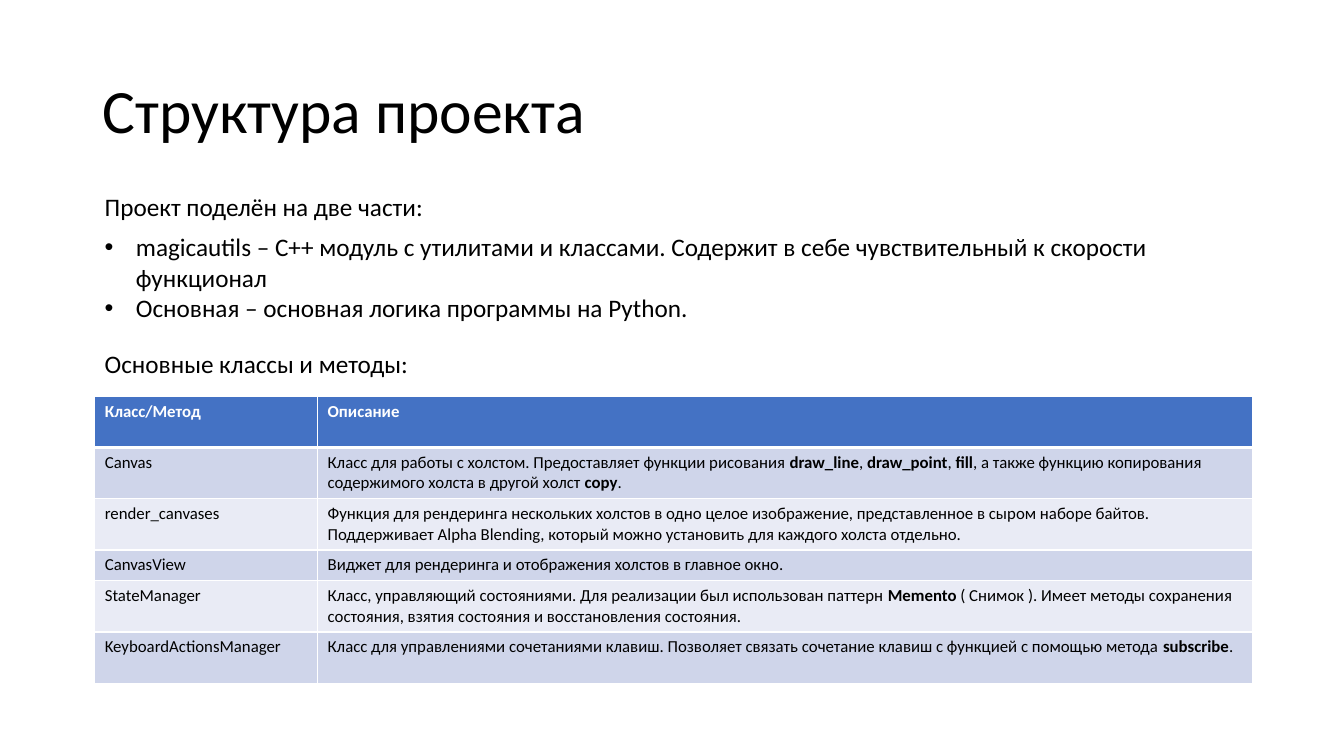
import dataclasses
import pptx
import pptx.dml.color
import pptx.enum.text
import pptx.oxml
import pptx.oxml.ns
import pptx.util


@dataclasses.dataclass(frozen=True)
class Theme:
    font: str = "Calibri"
    text: str = "000000"
    inverse: str = "FFFFFF"
    header: str = "4472C4"
    bands: tuple = ("CFD5EA", "E9EBF5")
    title_size: int = 44
    body_size: int = 18
    table_size: int = 12
    border: int = 1
    header_border: int = 3
    bullet_indent: float = 0.31


@dataclasses.dataclass(frozen=True)
class Box:
    left: int
    top: int
    width: int
    height: int

    def region(self, left, top, width, height):
        return Box(
            round(self.left + self.width * left / 100),
            round(self.top + self.height * top / 100),
            round(self.width * width / 100),
            round(self.height * height / 100),
        )

    def bounds(self):
        return self.left, self.top, self.width, self.height


THEME = Theme()
INTRO = "Проект поделён на две части:"
PROJECT_HALVES = [
    "magicautils – C++ модуль с утилитами и классами. "
    "Содержит в себе чувствительный к скорости функционал",
    "Основная – основная логика программы на Python.",
]
CAPTION = "Основные классы и методы:"
HEADINGS = ("Класс/Метод", "Описание")
CLASSES = [
    ("Canvas",
     "Класс для работы с холстом. Предоставляет функции рисования\u00a0*draw_line*,\u00a0"
     "*draw_point*,\u00a0*fill*, а также функцию копирования содержимого холста "
     "в другой холст\u00a0*copy*."),
    ("render_canvases",
     "Функция для рендеринга нескольких холстов в одно целое изображение, "
     "представленное в сыром наборе байтов. Поддерживает Alpha Blending, "
     "который можно установить для каждого холста отдельно."),
    ("CanvasView", "Виджет для рендеринга и отображения холстов в главное окно."),
    ("StateManager",
     "Класс, управляющий состояниями. Для реализации был использован "
     "паттерн\u00a0*Memento*\u00a0( Снимок ). Имеет методы сохранения состояния, "
     "взятия состояния и восстановления состояния."),
    ("KeyboardActionsManager",
     "Класс для управлениями сочетаниями клавиш. Позволяет связать сочетание "
     "клавиш с функцией с помощью метода\u00a0*subscribe*."),
]
COLUMN_SHARES = (19.25, 80.75)
ROW_UNITS = (5, 5, 5, 3, 5, 5)


def color(value):
    return pptx.dml.color.RGBColor.from_string(value)


def write(para, text, size=THEME.body_size, ink=THEME.text, bold=False, bullet=False):
    for index, piece in enumerate(text.split("*")):
        if piece:
            span = para.add_run()
            span.text = piece
            span.font.name = THEME.font
            span.font.size = pptx.util.Pt(size)
            span.font.bold = bold or index % 2 == 1
            span.font.color.rgb = color(ink)
    if bullet:
        indent = pptx.util.Inches(THEME.bullet_indent)
        settings = para._p.get_or_add_pPr()
        settings.set("marL", str(indent))
        settings.set("indent", str(-indent))
        settings.append(pptx.oxml.parse_xml(
            f'<a:buFont {pptx.oxml.ns.nsdecls("a")} typeface="Arial"/>'))
        settings.append(pptx.oxml.parse_xml(
            f'<a:buChar {pptx.oxml.ns.nsdecls("a")} char="•"/>'))


def add_text(page, box, lines, wrap=True, **style):
    frame = page.shapes.add_textbox(*box.bounds()).text_frame
    frame.word_wrap = wrap
    for index, line in enumerate(lines):
        para = frame.add_paragraph() if index else frame.paragraphs[0]
        write(para, line, **style)
    return frame


def add_title(page, box):
    frame = add_text(page, box, ["Структура проекта"], size=THEME.title_size)
    frame.vertical_anchor = pptx.enum.text.MSO_ANCHOR.MIDDLE
    frame.paragraphs[0].line_spacing = 0.9


def add_borders(cell, bottom):
    widths = {"lnL": THEME.border, "lnR": THEME.border, "lnT": THEME.border, "lnB": bottom}
    for index, (edge, width) in enumerate(widths.items()):
        line = pptx.oxml.parse_xml(
            f'<a:{edge} {pptx.oxml.ns.nsdecls("a")} w="{pptx.util.Pt(width)}">'
            f'<a:solidFill><a:srgbClr val="{THEME.inverse}"/></a:solidFill></a:{edge}>')
        cell._tc.get_or_add_tcPr().insert(index, line)


def add_class_table(page, box):
    records = [HEADINGS, *CLASSES]
    table = page.shapes.add_table(len(records), len(HEADINGS), *box.bounds()).table
    for column, share in zip(table.columns, COLUMN_SHARES):
        column.width = round(box.width * share / 100)
    for row, units in zip(table.rows, ROW_UNITS):
        row.height = round(box.height * units / sum(ROW_UNITS))
    for index, record in enumerate(records):
        heading = index == 0
        fill = THEME.header if heading else THEME.bands[(index - 1) % 2]
        for position, text in enumerate(record):
            cell = table.cell(index, position)
            cell.fill.solid()
            cell.fill.fore_color.rgb = color(fill)
            add_borders(cell, THEME.header_border if heading else THEME.border)
            write(cell.text_frame.paragraphs[0], text, size=THEME.table_size,
                  ink=THEME.inverse if heading else THEME.text, bold=heading)


def add_body(page, box):
    add_text(page, box.region(0, 0, 100, 8.11), [INTRO])
    add_text(page, box.region(0, 8.11, 100, 21.3), PROJECT_HALVES, bullet=True)
    add_class_table(page, box.region(0, 42.19, 100, 57.81))
    add_text(page, box.region(0, 31.64, 28.31, 8.11), [CAPTION], wrap=False)


def build_structure_page(deck):
    page = deck.slides.add_slide(deck.slide_layouts[6])
    page.background.fill.solid()
    page.background.fill.fore_color.rgb = color(THEME.inverse)
    whole = Box(0, 0, deck.slide_width, deck.slide_height)
    add_title(page, whole.region(6.9, 5.33, 86.27, 19.33))
    add_body(page, whole.region(7.05, 24.67, 86.12, 65.73))


deck = pptx.Presentation()
deck.slide_width = pptx.util.Inches(13.33)
deck.slide_height = pptx.util.Inches(7.5)
build_structure_page(deck)
deck.save("out.pptx")
